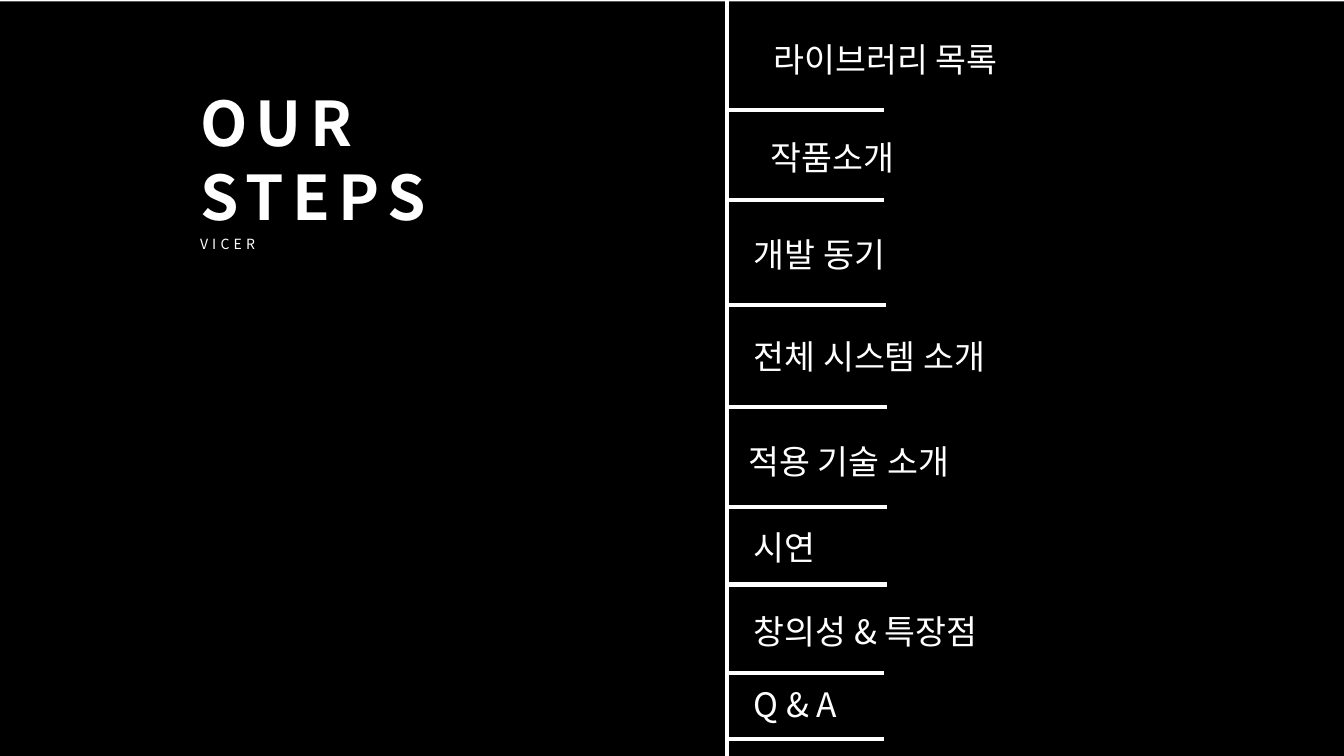
from pptx import Presentation
from pptx.dml.color import RGBColor
from pptx.enum.shapes import MSO_CONNECTOR, MSO_SHAPE
from pptx.enum.text import MSO_AUTO_SIZE, PP_ALIGN
from pptx.oxml.ns import qn
from pptx.util import Inches, Pt

RECT = MSO_SHAPE.RECTANGLE
LINE = MSO_CONNECTOR.STRAIGHT
GROW = MSO_AUTO_SIZE.SHAPE_TO_FIT_TEXT
LEFT, RIGHT = PP_ALIGN.LEFT, PP_ALIGN.RIGHT

WIDE = 10
HIGH = WIDE * 9 / 16
FONT = "Noto Sans CJK KR"
COLORS = {"back": "000000", "ink": "FFFFFF"}
TITLE = {"size": Pt(33), "bold": True}
NOTE = {"size": Pt(7.5)}
STEP = {"size": Pt(18)}

# Label, text box (left, top, width), alignment, rule below (left, top, width);
# all offsets are from the top of the spine.
STEPS = [
    ("라이브러리 목록", (-0.29, 0.24, 2.4), RIGHT, (0, 0.82, 1.17)),
    ("작품소개", (-0.21, 0.97, 1.55), RIGHT, (0, 1.49, 1.17)),
    ("개발 동기", (0.1, 1.69, 2.32), LEFT, (0.01, 2.27, 1.17)),
    ("전체 시스템 소개", (0.1, 2.45, 2.68), LEFT, (0.01, 3.03, 1.18)),
    ("적용 기술 소개", (0.06, 3.23, 2.32), LEFT, (0.01, 3.77, 1.18)),
    ("시연", (0.1, 3.87, 2.32), LEFT, (0.01, 4.35, 1.18)),
    ("창의성 & 특장점", (0.1, 4.5, 2.32), LEFT, (0, 5.01, 1.17)),
    ("Q & A", (0.1, 5.04, 2.32), LEFT, (0, 5.5, 1.17)),
]


def paint(name):
    return RGBColor.from_string(COLORS[name])


def add_text(slide, box, lines, style, align=LEFT, track=0):
    """Add one paragraph per line; track is letter spacing in points."""
    frame = slide.shapes.add_textbox(*map(Inches, box)).text_frame
    frame.word_wrap = True
    frame.auto_size = GROW
    for i, line in enumerate(lines):
        para = frame.paragraphs[0] if i == 0 else frame.add_paragraph()
        para.alignment = align
        run = para.add_run()
        run.text = line
        for key, value in {"name": FONT, **style}.items():
            setattr(run.font, key, value)
        run.font.color.rgb = paint("ink")
        props = run.font._element
        east = props.makeelement(qn("a:ea"), {"typeface": FONT})
        props.find(qn("a:latin")).addnext(east)
        if track:
            props.set("spc", str(round(track * 100)))


def add_line(slide, left, top, wide, high):
    ends = map(Inches, (left, top, left + wide, top + high))
    line = slide.shapes.add_connector(LINE, *ends)
    line.line.color.rgb = paint("ink")
    line.line.width = Pt(2.25)
    props = line._element.spPr
    props.append(props.makeelement(qn("a:effectLst"), {}))


def add_back(slide, left, top, wide, high):
    back = slide.shapes.add_shape(RECT, *map(Inches, (left, top, wide, high)))
    back.shadow.inherit = False
    back.fill.solid()
    back.fill.fore_color.rgb = paint("back")
    back.line.fill.background()


def add_head(slide, left, top, wide):
    add_text(slide, (left, top, 2.71, 1.21), ["OUR", "STEPS"], TITLE, track=4.5)
    add_text(slide, (left, top + 1.12, wide, 0.23), ["VICER"], NOTE, track=2.2)


def add_steps(slide, left, top, high):
    add_line(slide, left, top, 0, high)
    for label, (x, y, wide), align, (start, base, span) in STEPS:
        box = (left + x, top + y, wide, 0.4)
        add_text(slide, box, [label], STEP, align)
        add_line(slide, left + start, top + base, span, 0)


def main():
    deck = Presentation()
    deck.slide_width, deck.slide_height = Inches(WIDE), Inches(HIGH)
    slide = deck.slides.add_slide(deck.slide_layouts[6])
    add_back(slide, 0, 0.01, WIDE, HIGH)
    add_head(slide, 1.39, 0.58, 3.56)
    add_steps(slide, 5.41, 0, HIGH)
    deck.save("out.pptx")


if __name__ == "__main__":
    main()
